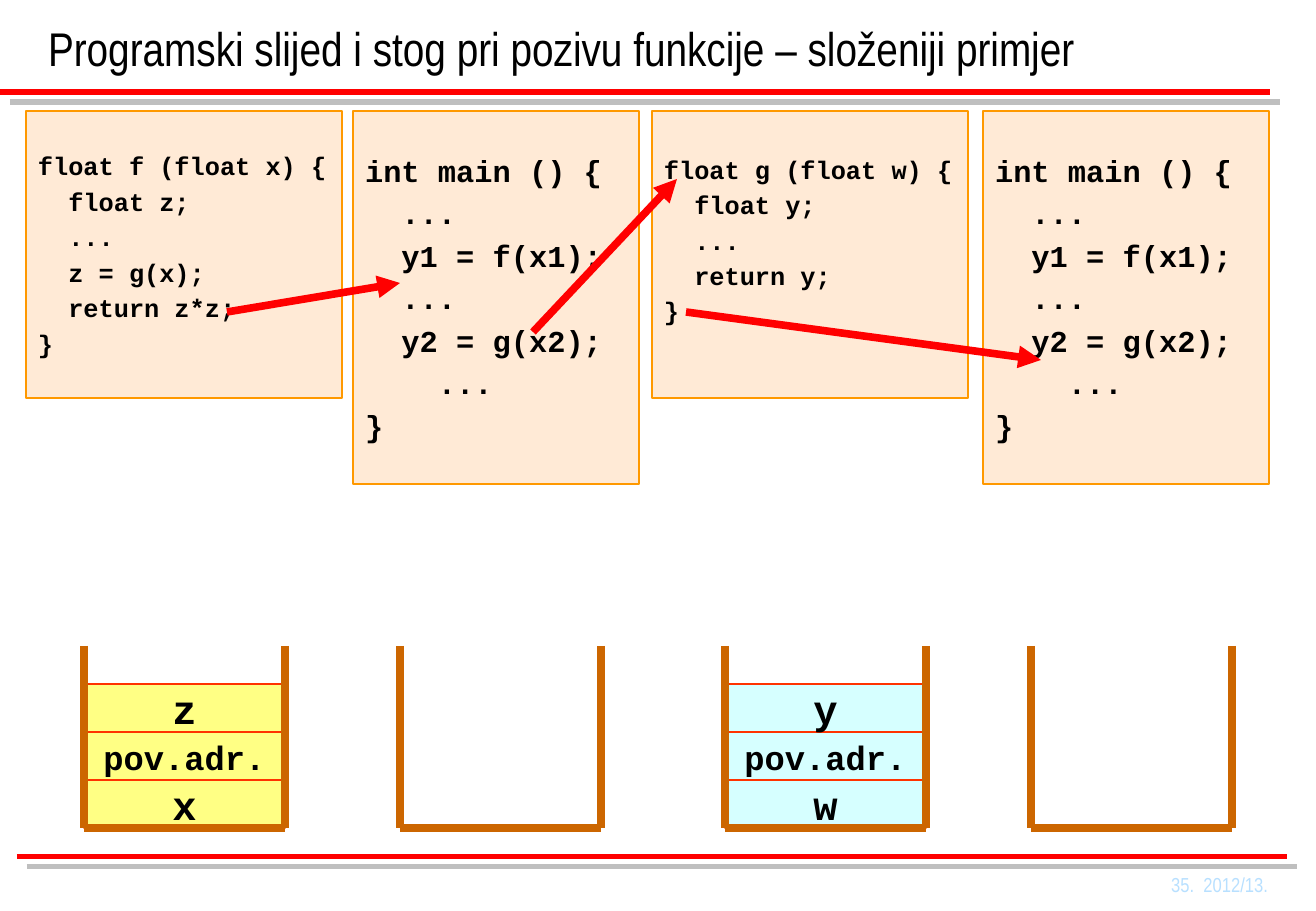
"""Builds a slide on program flow and the stack during function calls."""
from lxml import etree
from pptx import Presentation
from pptx.dml.color import RGBColor
from pptx.enum.shapes import MSO_CONNECTOR, MSO_SHAPE
from pptx.enum.text import MSO_ANCHOR, PP_ALIGN
from pptx.oxml.ns import qn
from pptx.util import Pt

LEFT, CENTER, RIGHT = PP_ALIGN.LEFT, PP_ALIGN.CENTER, PP_ALIGN.RIGHT
MIDDLE, BOTTOM = MSO_ANCHOR.MIDDLE, MSO_ANCHOR.BOTTOM
RECT, STRAIGHT = MSO_SHAPE.RECTANGLE, MSO_CONNECTOR.STRAIGHT

BLACK = RGBColor(0x00, 0x00, 0x00)
RED = RGBColor(0xFF, 0x00, 0x00)
GREY = RGBColor(0xBF, 0xBF, 0xBF)
PEACH = RGBColor(0xFF, 0xCC, 0x99)
ORANGE = RGBColor(0xFF, 0x99, 0x00)
YELLOW = RGBColor(0xFF, 0xFF, 0x66)
CYAN = RGBColor(0xCC, 0xFF, 0xFF)
VERMILION = RGBColor(0xFF, 0x33, 0x00)
BROWN = RGBColor(0xCC, 0x66, 0x00)
PALE_BLUE = RGBColor(0xB8, 0xE0, 0xFF)
SANS, MONO = "Arial Narrow", "Courier New"

TITLE = "Programski slijed i stog pri pozivu funkcije – složeniji primjer"
FOOTER = "35.  2012/13."
CODE_F = """float f (float x) {
  float z;
  ...
  z = g(x);
  return z*z;
}"""
CODE_G = """float g (float w) {
  float y;
  ...
  return y;
}"""
CODE_MAIN = """int main () {
  ...
  y1 = f(x1);
  ...
  y2 = g(x2);
    ...
}"""

# left, width, height, font size, space before, bottom inset, code
PANELS = [
    (26, 316, 287, 15, 3, 6, CODE_F),
    (652, 316, 287, 15, 3, 35, CODE_G),
    (353, 286, 373, 18, 3.6, 6, CODE_MAIN),
    (983, 286, 373, 18, 3.6, 6, CODE_MAIN),
]
ARROWS = [(227, 312, 400, 283), (533, 332, 677, 179), (686, 312, 1041, 360)]
STACKS = [
    (84, YELLOW, ["x", "pov.adr.", "z"]),
    (400, None, []),
    (725, CYAN, ["w", "pov.adr.", "y"]),
    (1031, None, []),
]
RULES = [(0, 92), (17, 857)]
RULE_WIDTH, RULE_SHIFT = 1270, 10
PANEL_TOP = 111
STACK_TOP, STACK_BOTTOM, STACK_WIDTH, CELL_HEIGHT = 646, 828, 201, 48


def px(n):
    return round(n * 914400 / 121.5)


prs = Presentation()
prs.slide_width, prs.slide_height = px(1316), px(911)
s = prs.slides.add_slide(prs.slide_layouts[6])


def add_line(x1, y1, x2, y2, color, width, arrow=False):
    line = s.shapes.add_connector(STRAIGHT, px(x1), px(y1), px(x2), px(y2))
    line.line.color.rgb = color
    line.line.width = Pt(width)
    if arrow:
        etree.SubElement(line.line._get_or_add_ln(), qn("a:tailEnd"), type="triangle")
    etree.SubElement(line._element.spPr, qn("a:effectLst"))


def write(sp, text, font, size, color=BLACK, bold=False, align=LEFT,
          anchor=MIDDLE, space=0, top=6, bottom=6):
    tf = sp.text_frame
    tf.word_wrap = True
    tf.vertical_anchor = anchor
    tf.margin_left = tf.margin_right = px(12)
    tf.margin_top, tf.margin_bottom = px(top), px(bottom)
    tf.text = text
    for i, p in enumerate(tf.paragraphs):
        p.alignment = align
        p.space_before = Pt(space if i else 0)
        for r in p.runs:
            r.font.name = font
            r.font.size = Pt(size)
            r.font.bold = bold
            r.font.color.rgb = color


def add_text(x, y, w, h, *args, **style):
    write(s.shapes.add_textbox(px(x), px(y), px(w), px(h)), *args, **style)


def add_box(x, y, w, h, fill, opacity, border):
    sp = s.shapes.add_shape(RECT, px(x), px(y), px(w), px(h))
    sp.shadow.inherit = False
    sp.fill.solid()
    sp.fill.fore_color.rgb = fill
    color = sp._element.spPr.find(qn("a:solidFill"))[0]
    etree.SubElement(color, qn("a:alpha"), val=str(opacity * 1000))
    sp.line.color.rgb = border
    sp.line.width = Pt(0.75)
    return sp


for x, y in RULES:
    for shift, color in ((RULE_SHIFT, GREY), (0, RED)):
        add_line(x + shift, y + shift, x + shift + RULE_WIDTH, y + shift, color, 3)

add_text(36, 0, 1234, 82, TITLE, SANS, 28, anchor=BOTTOM)
add_text(1080, 866, 200, 36, FOOTER, SANS, 12, PALE_BLUE, align=RIGHT)

for x, w, h, size, space, bottom, code in PANELS:
    panel = add_box(x, PANEL_TOP, w, h, PEACH, 40, ORANGE)
    write(panel, code, MONO, size, bold=True, space=space, bottom=bottom)

for ends in ARROWS:
    add_line(*ends, RED, 4.5, arrow=True)

for x, fill, cells in STACKS:
    for i, name in enumerate(cells, 1):
        cell = add_box(x, STACK_BOTTOM - i * CELL_HEIGHT, STACK_WIDTH, CELL_HEIGHT,
                       fill, 80, VERMILION)
        size = 24 if len(name) == 1 else 20
        write(cell, name, MONO, size, bold=True, align=CENTER, top=1, bottom=0)
    right = x + STACK_WIDTH
    for wall_x in (x, right):
        add_line(wall_x, STACK_TOP, wall_x, STACK_BOTTOM, BROWN, 4.5)
    add_line(x, STACK_BOTTOM, right, STACK_BOTTOM, BROWN, 4.5)

prs.save("out.pptx")
